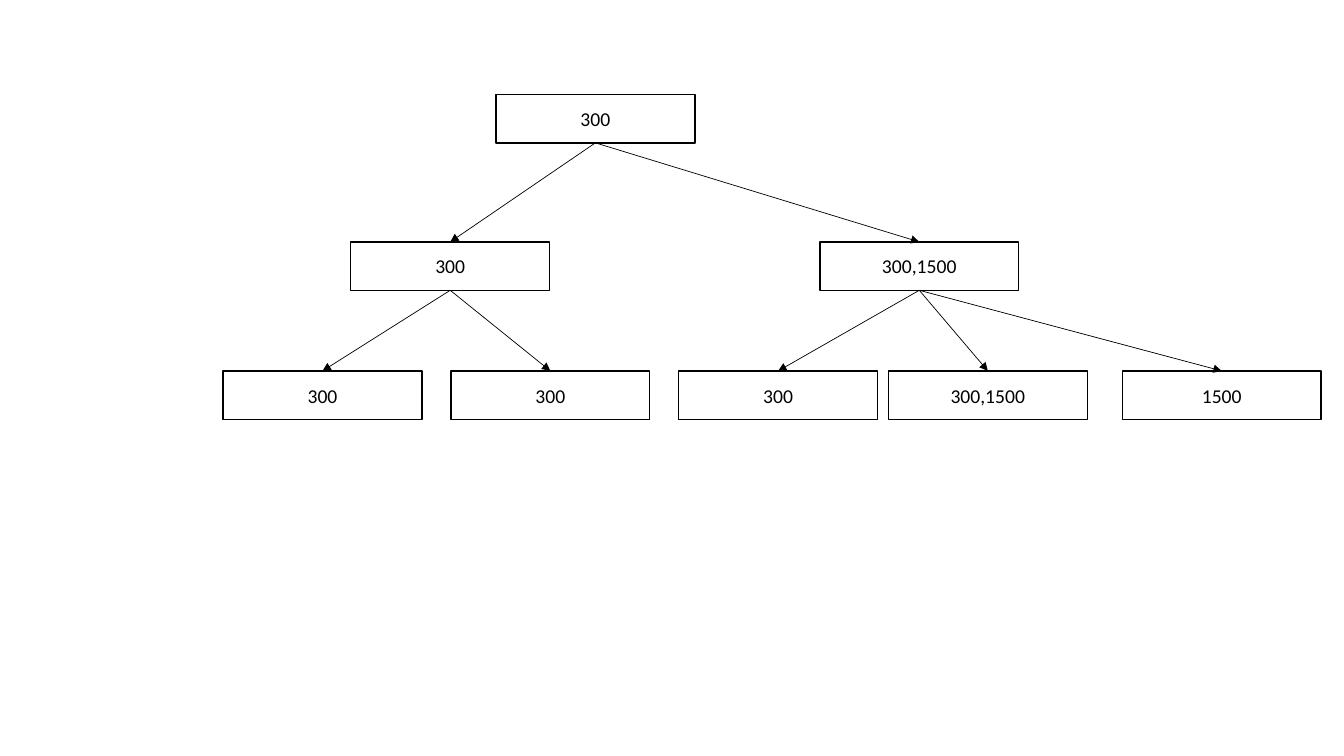
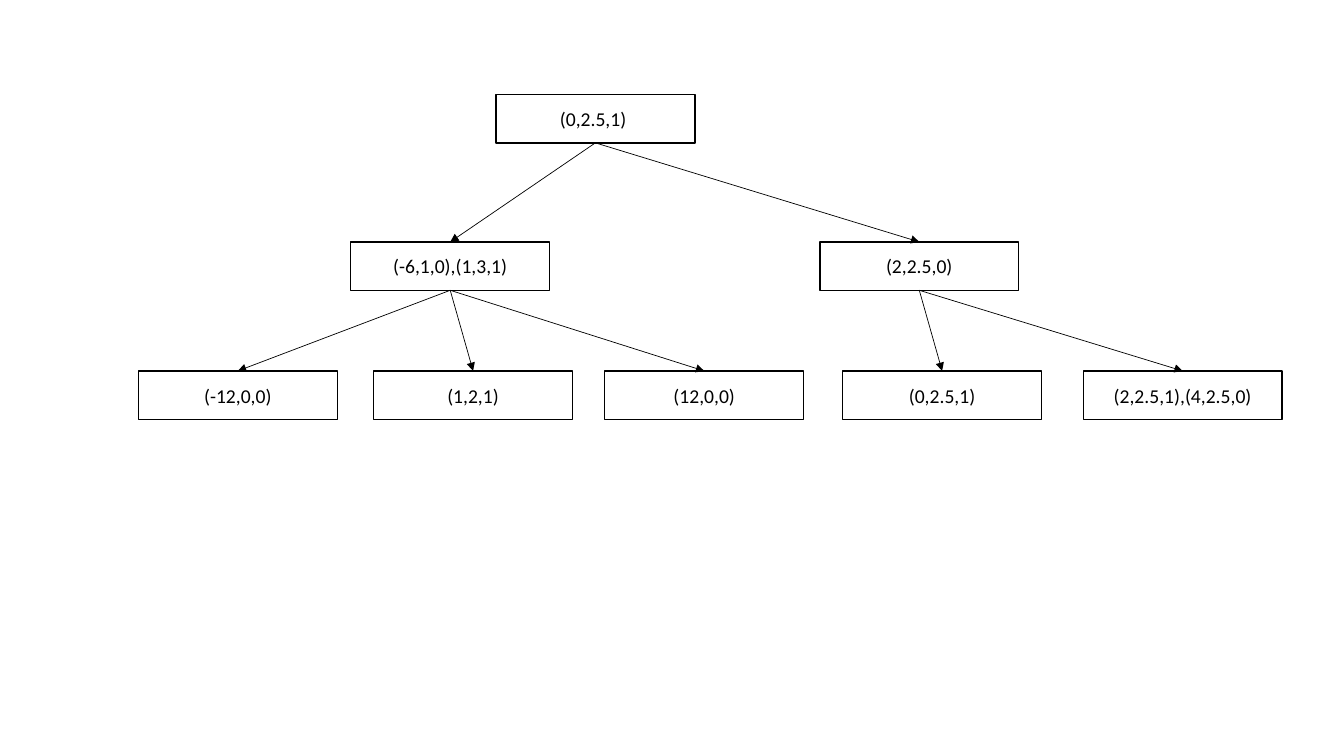
from pptx import Presentation
from pptx.dml.color import RGBColor as Rgb
from pptx.enum.shapes import MSO_CONNECTOR as Link, MSO_SHAPE as Form
from pptx.enum.text import MSO_ANCHOR as Anchor, PP_ALIGN as Align
from pptx.oxml.ns import qn
from pptx.util import Inches, Pt
from lxml.etree import SubElement as Sub

HUES = {"ink": "000000", "paper": "FFFFFF"}
INK, PAPER = (Rgb.from_string(HUES[name]) for name in ("ink", "paper"))
FONT = {"name": "Calibri", "size": Pt(14)}
FRAME = {"word_wrap": True, "vertical_anchor": Anchor.MIDDLE}

# Shares of the tree's box, in percent
ROWS = (12.5, 32, 49.07)
NODE = (14.8, 6.4)
BOTTOM, TOP = 2, 0

# Each node: centre in percent of the width, label, children
RANGES = (44.3, "300", [
    (33.5, "300", [(24, "300", []), (40.95, "300", [])]),
    (68.4, "300,1500", [
        (57.9, "300", []), (73.5, "300,1500", []), (90.9, "1500", [])]),
])
POINTS = (44.3, "(0,2.5,1) ", [
    (33.5, "(-6,1,0),(1,3,1)", [
        (17.7, "(-12,0,0)", []), (35.2, "(1,2,1)", []),
        (52.4, "(12,0,0)", [])]),
    (68.4, "(2,2.5,0)", [
        (70.1, "(0,2.5,1)", []), (88, "(2,2.5,1),(4,2.5,0)", [])]),
])


def style(item, form):
    """Set each attribute named in form."""
    for key, value in form.items():
        setattr(item, key, value)


def draw_line(line, width):
    """Give a line the ink colour and a width in points."""
    line.color.rgb = INK
    line.width = Pt(width)


def add_node(slide, box, mid, level, label):
    """Draw one labelled node, centred at mid on its level of the box."""
    left, top, width, height = box
    wide, high = NODE
    node = slide.shapes.add_shape(
        Form.RECTANGLE,
        int(left + width * (mid - wide / 2) / 100),
        int(top + height * ROWS[level] / 100),
        int(width * wide / 100), int(height * high / 100))
    node.shadow.inherit = False
    node.fill.solid()
    node.fill.fore_color.rgb = PAPER
    draw_line(node.line, 1)
    style(node.text_frame, FRAME)
    para = node.text_frame.paragraphs[0]
    para.alignment = Align.CENTER
    run = para.add_run()
    run.text = label
    style(run.font, FONT)
    run.font.color.rgb = INK
    return node


def add_arrow(slide, head, child):
    """Link the bottom of a node to the top of its child."""
    arrow = slide.shapes.add_connector(Link.STRAIGHT, 0, 0, 0, 0)
    arrow.begin_connect(head, BOTTOM)
    arrow.end_connect(child, TOP)
    draw_line(arrow.line, 0.5)
    Sub(arrow.line._get_or_add_ln(), qn("a:tailEnd"), type="triangle")
    Sub(arrow._element.spPr, qn("a:effectLst"))


def add_tree(slide, box, tree, level=0):
    """Draw a tree in the box and return its root node."""
    mid, label, kids = tree
    root = add_node(slide, box, mid, level, label)
    for kid in kids:
        add_arrow(slide, root, add_tree(slide, box, kid, level + 1))
    return root


def main():
    """Build one slide for each tree."""
    deck = Presentation()
    style(deck, {"slide_width": Inches(13.33), "slide_height": Inches(7.5)})
    blank = deck.slide_layouts[6]
    for tree in (RANGES, POINTS):
        slide = deck.slides.add_slide(blank)
        add_tree(slide, (0, 0, deck.slide_width, deck.slide_height), tree)
    deck.save("out.pptx")


main()
